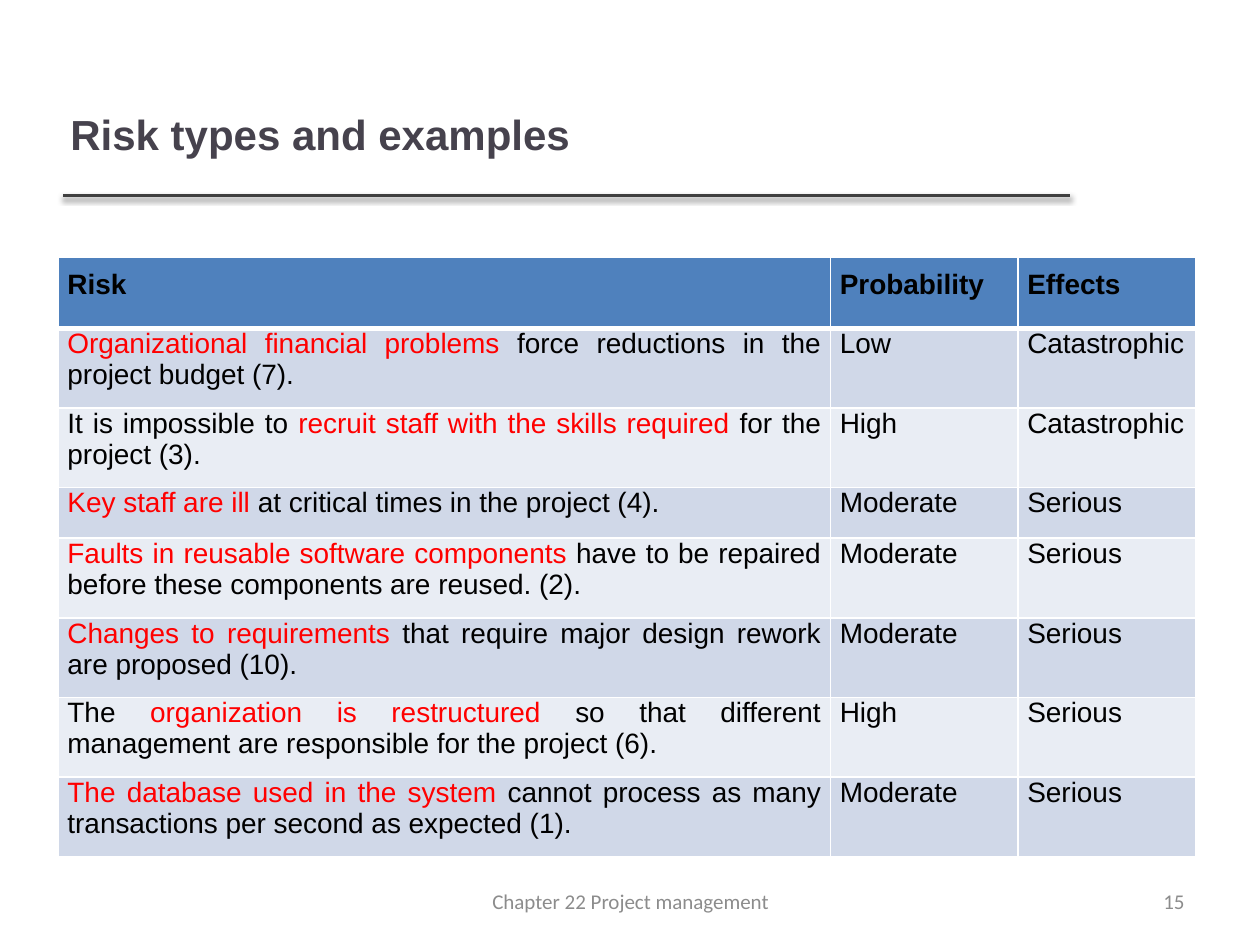
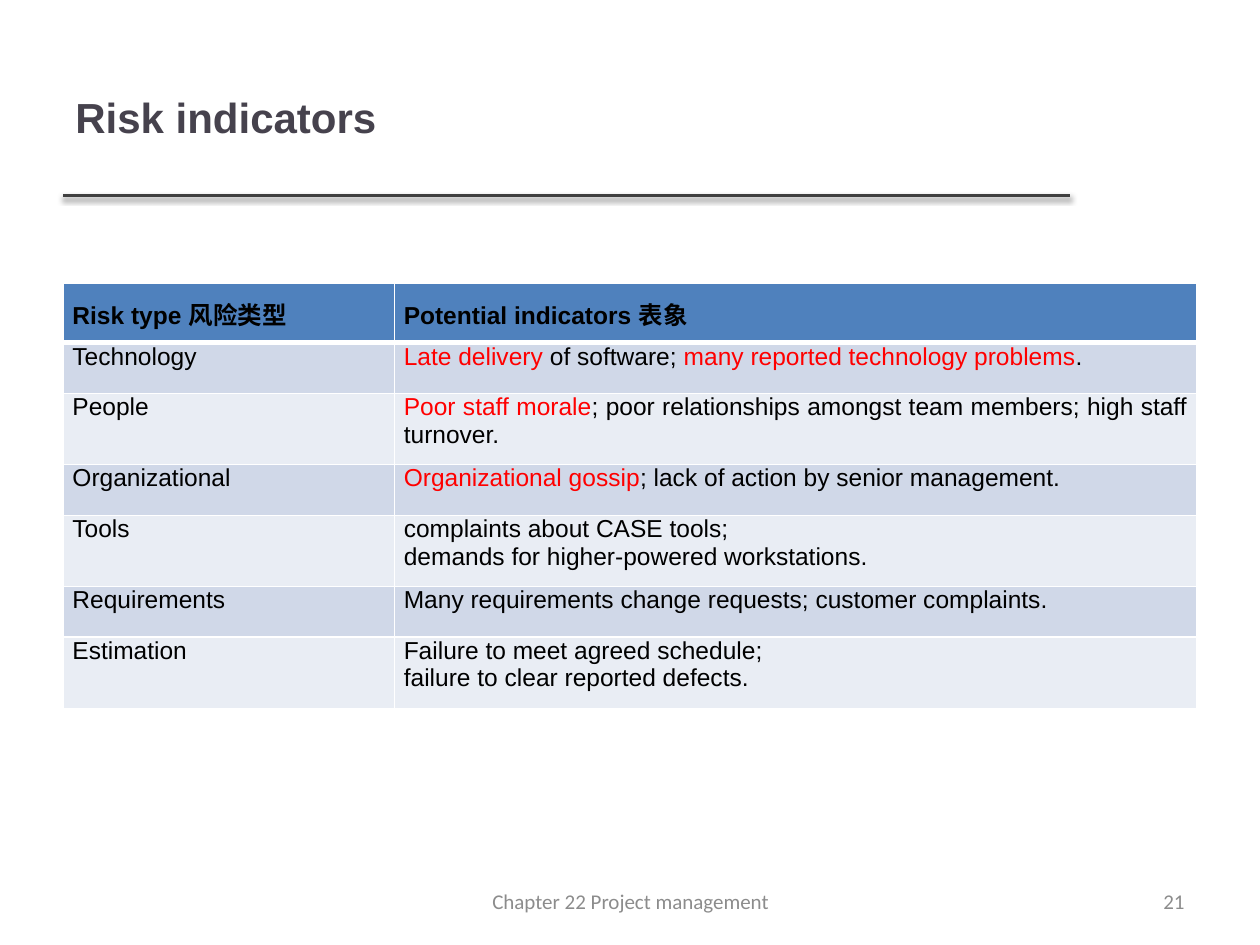
from dataclasses import dataclass

from lxml import etree
from pptx import Presentation, util as u
from pptx.dml.color import RGBColor
from pptx.enum import shapes, text
from pptx.oxml.ns import qn


@dataclass(frozen=True)
class Theme:
    heading: str = "46424D"
    rule: str = "404040"
    ink: str = "000000"
    accent: str = "FF0000"
    footer: str = "8C8C8C"
    border: str = "FFFFFF"
    header_fill: str = "4F81BD"
    band_fills: tuple = ("D0D8E8", "E9EDF4")
    body_font: str = "Arial"
    footer_font: str = "Calibri"
    title_size: int = 24
    footer_size: int = 12


THEME = Theme()
ALIGN = text.PP_ALIGN
FOOTER_TEXT = "Chapter 22 Project management"

# Asterisks enclose the words shown in the accent colour.
RISKS = [
    ("Risk", "Probability", "Effects"),
    ("*Organizational financial problems* force reductions in the project budget (7).",
     "Low", "Catastrophic"),
    ("It is impossible to *recruit staff with the skills required* for the project (3).",
     "High", "Catastrophic"),
    ("*Key staff are ill* at critical times in the project (4).", "Moderate", "Serious"),
    ("*Faults in reusable software components* have to be repaired before these "
     "components are reused. (2).", "Moderate", "Serious"),
    ("*Changes to requirements* that require major design rework are proposed (10).",
     "Moderate", "Serious"),
    ("The *organization is restructured* so that different management are responsible "
     "for the project (6).", "High", "Serious"),
    ("*The database used in the system* cannot process as many transactions per second "
     "as expected (1).", "Moderate", "Serious"),
]
INDICATORS = [
    ("Risk type 风险类型", "Potential indicators 表象"),
    ("Technology", "*Late delivery* of software; *many reported technology problems*."),
    ("People", "*Poor staff morale*; poor relationships amongst team members; "
               "high staff turnover."),
    ("Organizational", "*Organizational gossip*; lack of action by senior management."),
    ("Tools", "complaints about CASE tools;\ndemands for higher-powered workstations."),
    ("Requirements", "Many requirements change requests; customer complaints."),
    ("Estimation", "Failure to meet agreed schedule;\nfailure to clear reported defects."),
]


def write_text(frame, content, *, size, color=THEME.ink, font=THEME.body_font,
               bold=False, align=ALIGN.LEFT):
    """Write one paragraph per line, with accented words between asterisks."""
    frame.word_wrap = True
    for index, line in enumerate(content.split("\n")):
        paragraph = frame.paragraphs[0] if index == 0 else frame.add_paragraph()
        paragraph.alignment = align
        for position, part in enumerate(line.split("*")):
            if not part:
                continue
            run = paragraph.add_run()
            run.text = part
            run.font.name = font
            run.font.size = u.Pt(size)
            run.font.bold = bold
            run.font.color.rgb = RGBColor.from_string(
                THEME.accent if position % 2 else color)


def add_text(slide, box, content, **style):
    shape = slide.shapes.add_textbox(*map(u.Cm, box))
    shape.text_frame.vertical_anchor = text.MSO_ANCHOR.MIDDLE
    write_text(shape.text_frame, content, **style)


def add_color(parent, color):
    return etree.SubElement(parent, qn("a:srgbClr"), val=color)


def add_title_rule(slide, left, top, width):
    """Draw the line below the title, with its soft shadow."""
    line = slide.shapes.add_connector(
        shapes.MSO_CONNECTOR.STRAIGHT, *map(u.Cm, (left, top, left + width, top)))
    line.line.color.rgb = RGBColor.from_string(THEME.rule)
    line.line.width = u.Pt(2)
    effects = etree.SubElement(line._element.spPr, qn("a:effectLst"))
    shadow = etree.SubElement(
        effects, qn("a:outerShdw"), blurRad=str(u.Pt(3.1)), dist=str(u.Pt(1.6)),
        dir="5400000", rotWithShape="0")
    etree.SubElement(add_color(shadow, THEME.rule and "000000"), qn("a:alpha"), val="38000")


def set_borders(cell, **widths):
    properties = cell._tc.get_or_add_tcPr()
    for side in "LRTB":
        border = etree.SubElement(properties, qn(f"a:ln{side}"),
                                  w=str(u.Pt(widths.get(side, 1))))
        add_color(etree.SubElement(border, qn("a:solidFill")), THEME.border)


def add_banded_table(slide, left, top, column_widths, row_heights, rows, size):
    box = (left, top, sum(column_widths), sum(row_heights))
    table = slide.shapes.add_table(
        len(rows), len(column_widths), *map(u.Cm, box)).table
    table.first_row = table.horz_banding = False
    for column, width in zip(table.columns, column_widths):
        column.width = u.Cm(width)

    for row_index, (row, height) in enumerate(zip(rows, row_heights)):
        table.rows[row_index].height = u.Cm(height)
        is_header = row_index == 0
        fill = THEME.header_fill if is_header else THEME.band_fills[(row_index - 1) % 2]
        for column_index, content in enumerate(row):
            cell = table.cell(row_index, column_index)
            cell.margin_left = cell.margin_right = u.Cm(0.19)
            cell.margin_top = u.Cm(0.25 if is_header else 0)
            cell.margin_bottom = u.Cm(0.25)
            # The heavy line separates the header from the body
            set_borders(cell, B=3 if is_header else 1, T=3 if row_index == 1 else 1)
            cell.fill.solid()
            cell.fill.fore_color.rgb = RGBColor.from_string(fill)
            write_text(cell.text_frame, content, size=size, bold=is_header,
                       align=ALIGN.JUSTIFY)


def add_footer(slide, top, number):
    style = dict(size=THEME.footer_size, color=THEME.footer, font=THEME.footer_font)
    add_text(slide, (18.21, top, 5.92, 1.02), str(number), align=ALIGN.RIGHT, **style)
    add_text(slide, (8.69, top, 8.05, 1.02), FOOTER_TEXT, align=ALIGN.CENTER, **style)


def add_table_slide(presentation, title, title_box, number, **table):
    slide = presentation.slides.add_slide(presentation.slide_layouts[6])
    add_title_rule(slide, 1.27, 3.94, 20.3)
    add_text(slide, title_box, title, size=THEME.title_size, color=THEME.heading,
             bold=True)
    add_banded_table(slide, **table)
    add_footer(slide, 17.65, number)


def main():
    presentation = Presentation()
    presentation.slide_width = u.Cm(25.4)
    presentation.slide_height = u.Cm(19.05)

    single_line = 1.02
    # Risk table
    double_line = 1.51
    add_table_slide(
        presentation, "Risk types and examples", (1.17, 1.24, 19.38, 2.92), 15,
        left=1.17, top=5.18, column_widths=(15.57, 3.78, 3.58),
        row_heights=[1.44] + [double_line] * 2 + [single_line] + [double_line] * 4,
        rows=RISKS, size=16)
    # Indicator table
    double_line = 1.35
    add_table_slide(
        presentation, "Risk indicators", (1.27, 0.76, 20.27, 3.18), 21,
        left=1.27, top=5.72, column_widths=(6.68, 16.18),
        row_heights=[1.19] + [single_line, double_line] * 3,
        rows=INDICATORS, size=14)
    presentation.save("out.pptx")


if __name__ == "__main__":
    main()
